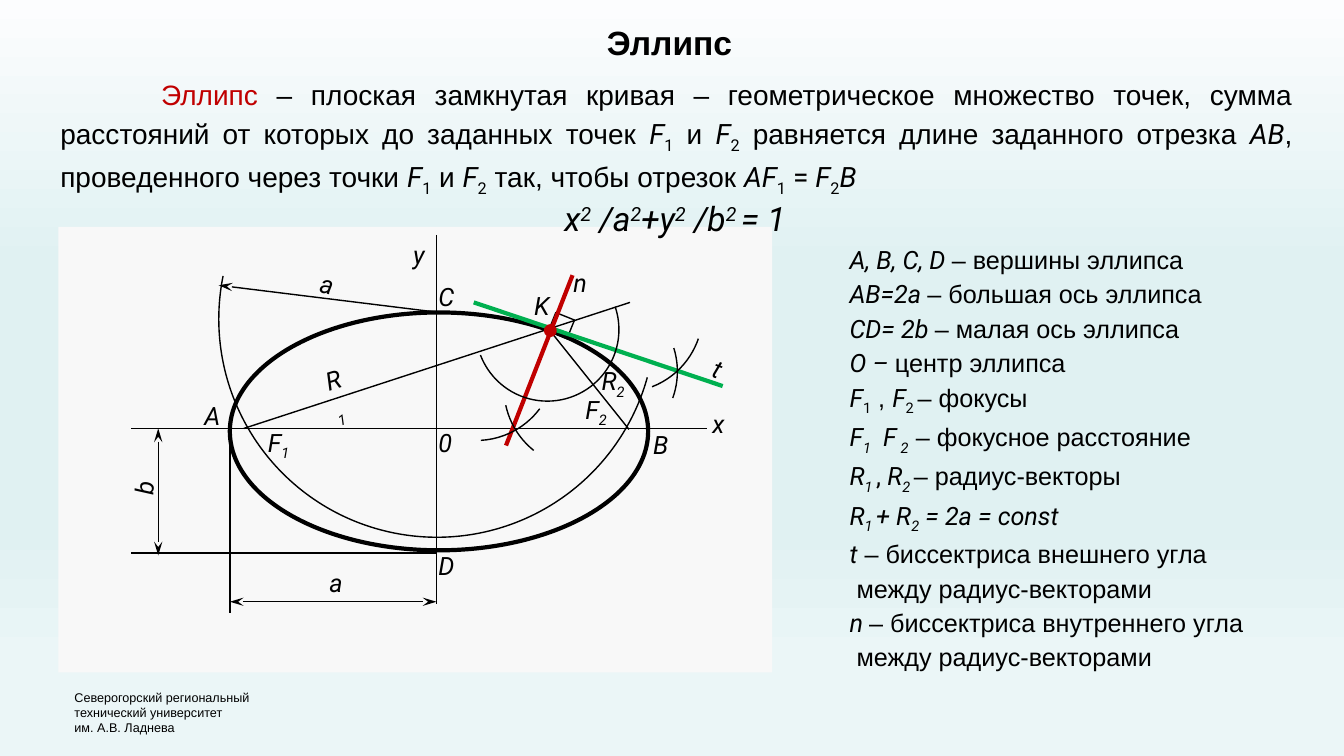
import pptx
import pptx.dml.color
import pptx.enum.shapes
import pptx.enum.text
import pptx.oxml
import pptx.oxml.ns
import pptx.util

COLORS = {"ink": "000000", "red": "C00000", "green": "00B050", "panel": "F8F8F8"}
BACKGROUND = [(0, "FCFDFE"), (35, "E0F1F2"), (69, "E0F1F2"), (88, "EBF6F7"), (100, "EBF6F7")]
NS = 'xmlns:a="http://schemas.openxmlformats.org/drawingml/2006/main"'
SHAPES = pptx.enum.shapes.MSO_SHAPE
ALIGN = pptx.enum.text.PP_ALIGN
FIT = pptx.enum.text.MSO_AUTO_SIZE.SHAPE_TO_FIT_TEXT

# The first letter of every piece of text names its style
STYLES = {
    "a": ({"name": "Arial", "italic": False}, {}),
    "r": ({"name": "Arial", "italic": False}, {}),
    "b": ({"name": "Arial", "bold": True}, {}),
    "p": ({"name": "Roboto", "italic": False}, {}),
    "i": ({"name": "Roboto", "italic": True}, {}),
    "s": ({"name": "Roboto", "italic": False}, {"baseline": "-25000"}),
    "j": ({"name": "Roboto", "italic": True}, {"baseline": "-25000"}),
    "u": ({"name": "Roboto", "italic": True}, {"baseline": "30000"}),
    "k": ({"name": "Roboto", "italic": True}, {"baseline": "-25000", "spc": "300"}),
    "l": ({"name": "Roboto", "italic": True}, {"spc": "300"}),
}

# Grid of tenths of an inch: 133.33 columns by 75 rows
CELL = pptx.util.Inches(0.1)
AXIS_X, AXIS_Y, VERTEX_A, VERTEX_D = 43.3, 42.5, 22.8, 54.9

deck = pptx.Presentation()
deck.slide_width, deck.slide_height = int(133.33 * CELL), 75 * CELL
slide = deck.slides.add_slide(deck.slide_layouts[5])


def write(target, at, lines, size, wrap=True, turn=0, spacing=1.0, align=ALIGN.LEFT):
    """Place a text and fill it with lines of styled pieces split by |."""
    target.left, target.top, target.width, target.height = (int(v * CELL) for v in at)
    target.rotation = turn
    frame = target.text_frame
    frame.word_wrap, frame.auto_size = wrap, FIT
    frame.vertical_anchor = pptx.enum.text.MSO_ANCHOR.TOP
    for number, line in enumerate(lines):
        paragraph = frame.paragraphs[0] if number == 0 else frame.add_paragraph()
        paragraph.alignment, paragraph.line_spacing = align, spacing
        for piece in line.split("|"):
            run = paragraph.add_run()
            run.text = piece[1:]
            font_values, run_values = STYLES[piece[0]]
            for key, value in {"size": pptx.util.Pt(size), **font_values}.items():
                setattr(run.font, key, value)
            color = COLORS["red" if piece[0] == "r" else "ink"]
            run.font.color.rgb = pptx.dml.color.RGBColor.from_string(color)
            for key, value in run_values.items():
                run.font._element.set(key, value)
    return frame


def draw(kind, at, line=None, width=1, fill=None, turn=0, angles=()):
    """Add a preset shape with an outline, a fill or both."""
    figure = slide.shapes.add_shape(kind, *(int(v * CELL) for v in at))
    figure.shadow.inherit = False
    figure.rotation = turn
    for index, angle in enumerate(angles):
        figure.adjustments[index] = angle
    if fill:
        figure.fill.solid()
        figure.fill.fore_color.rgb = pptx.dml.color.RGBColor.from_string(COLORS[fill])
    else:
        figure.fill.background()
    if line:
        figure.line.color.rgb = pptx.dml.color.RGBColor.from_string(COLORS[line])
        figure.line.width = pptx.util.Pt(width)
    else:
        figure.line.fill.background()


# Background gradient from top to bottom
backdrop = slide.background.fill
backdrop.gradient()
backdrop.gradient_angle = 270
stops = slide._element.find(".//" + pptx.oxml.ns.qn("a:gsLst"))
for stop in list(stops):
    stops.remove(stop)
for share, color in BACKGROUND:
    stops.append(pptx.oxml.parse_xml(
        f'<a:gs {NS} pos="{share * 1000}"><a:srgbClr val="{color}"/></a:gs>'))

# Drawing panel, right angle mark and ellipse
draw(SHAPES.RECTANGLE, (5.8, 22.5, 70.8, 44.2), fill="panel")
draw(SHAPES.RECTANGLE, (54.7, 31.3, 2, 2), "ink", turn=292)
draw(SHAPES.OVAL, (VERTEX_A, 31, 41.5, 23.6), "ink", 3)

# Lines: start, end, colour, width, arrowheads
for x1, y1, x2, y2, color, width, heads in [
    (62.4, 42.6, 54.4, 32.6, "ink", 1, ()),  # radius vector R2
    (24.2, AXIS_Y, 62.5, 30, "ink", 1, ()),  # radius vector R1
    (13, AXIS_Y, 70.1, AXIS_Y, "ink", 1.25, ()),  # x axis
    (AXIS_X, 23.3, AXIS_X, 59.9, "ink", 1.25, ()),  # y axis
    (50.2, 44.2, 56.8, 27.3, "red", 3, ()),  # normal n
    (47, 30, 71.7, 38.3, "green", 3, ()),  # tangent t
    (VERTEX_A, 42.8, VERTEX_A, 60.8, "ink", 1.25, ()),
    (AXIS_X, VERTEX_D, 13, VERTEX_D, "ink", 1.25, ()),
    (VERTEX_A, 59.7, AXIS_X, 59.7, "ink", 1, ("headEnd", "tailEnd")),
    (15.7, AXIS_Y, 15.7, 55.1, "ink", 1, ("headEnd", "tailEnd")),
    (43.6, 31, 21.7, 28.3, "ink", 1, ("tailEnd",)),
]:
    ends = (int(v * CELL) for v in (x1, y1, x2, y2))
    stroke = slide.shapes.add_connector(pptx.enum.shapes.MSO_CONNECTOR.STRAIGHT, *ends)
    stroke.line.color.rgb = pptx.dml.color.RGBColor.from_string(COLORS[color])
    stroke.line.width = pptx.util.Pt(width)
    for head in heads:
        stroke.line._get_or_add_ln().append(pptx.oxml.parse_xml(
            f'<a:{head} {NS} type="stealth" w="med" len="lg"/>'))
    stroke._element.spPr.append(pptx.oxml.parse_xml(f"<a:effectLst {NS}/>"))

# Point K
draw(SHAPES.OVAL, (54.1, 32.3, 1, 1), "red", 2, "red")

# Compass arcs: left, top, diameter, turn, start and end
for left, top, diameter, turn, angles in [
    (21.7, 10, 43.3, 180, (117.3, 6.84)),
    (47.2, 25.6, 14.2, 123.7, (130.63, 21.28)),
    (39.4, 28, 15.7, 129.7, (160.25, 190.2)),
    (51.5, 29, 15.7, 217.1, (75.42, 97.52)),
    (54, 23.2, 15.7, 111.9, (160.25, 190.2)),
    (50, 30.7, 15.7, 221.6, (160.25, 183.78)),
]:
    draw(SHAPES.ARC, (left, top, diameter, diameter), "ink", turn=turn, angles=angles)

# Letters on the drawing: left, top, width, turn, text
for left, top, width, turn, letter in [
    (19.3, 39.2, 3.7, 0, "iA"), (52, 28.3, 3.5, 0, "iK"), (42.5, 41.9, 3.3, 0, "i0"),
    (69.7, 40, 3.3, 0, "ix"), (40, 23.3, 3.3, 0, "iy"), (69.8, 34.6, 3.1, 21.3, "it"),
    (55.9, 26, 3.3, 0, "in"), (63.8, 42.1, 3.5, 0, "iB"), (42.5, 27.4, 3.3, 0, "iC"),
    (42.5, 54.1, 3.5, 0, "iD"), (25.6, 41.9, 5, 0, "iF|j1"), (57.1, 38.6, 4.2, 0, "iF|j2"),
    (31.3, 35.6, 4.1, 342.6, "iR|j1"), (58.7, 35.8, 8.3, 0, "iR|j2"),
    (31.7, 55.8, 3.5, 0, "iа"), (12.6, 46.4, 3.3, 272.7, "ib"), (30.8, 26.2, 3.5, 11.9, "iа"),
]:
    at = (left, top, width, 4)
    write(slide.shapes.add_textbox(0, 0, 0, 0), at, [letter], 18, letter == "iR|j1", turn)

# Title
write(slide.shapes.title, (59.2, 1.7, 26.7, 5.1), ["bЭллипс"], 24)

# Definition and equation, each with its own first line indent
definition = write(slide.shapes.add_textbox(0, 0, 0, 0), (5, 6.7, 124.2, 16.6), [
    "rЭллипс |a– плоская замкнутая кривая – геометрическое множество точек, сумма "
    "расстояний от которых до заданных точек |iF|s1|a и |iF|s2|a равняется длине заданного "
    "отрезка |iAB|a, проведенного через точки |iF|s1|a и |iF|s2|a так, чтобы отрезок "
    "|iAF|s1|p = |iF|s2|iB",
    "ix|u2|i /а|u2|i+y|u2|i /b|u2 |i= 1",
], 20, spacing=1.14, align=ALIGN.JUSTIFY)
sentence, equation = definition.paragraphs
for paragraph, indent in ((sentence, 10), (equation, 50)):
    paragraph._p.get_or_add_pPr().set("indent", str(indent * CELL))
equation.line_spacing = 1.0
for run in equation.runs:
    run.font.size = pptx.util.Pt(24)

# Legend
write(slide.shapes.add_textbox(0, 0, 0, 0), (83.3, 23.3, 45, 42.4), [
    "iA, B, C, D |a– вершины эллипса",
    "iAB=2а |a– большая ось эллипса",
    "iCD= 2b |a– малая ось эллипса",
    "iО – |aцентр эллипса",
    "iF|s1|a , |iF|s2 |a– фокусы",
    "iF|k1 |lF|j2  |a– фокусное расстояние",
    "iR|j1 |p,|i R|j2 |a– радиус-векторы",
    "iR|j1 |i+ R|j2|i = 2а = const",
    "it|a – биссектриса внешнего угла",
    "a между радиус-векторами",
    "in |a– биссектриса внутреннего угла",
    "a между радиус-векторами",
], 18, spacing=1.14)

# University
write(slide.shapes.add_textbox(0, 0, 0, 0), (6.4, 67.9, 19.8, 5.5), [
    "aСеверогорский региональный", "aтехнический университет", "aим. А.В. Ладнева"], 9, False)

deck.save("out.pptx")
